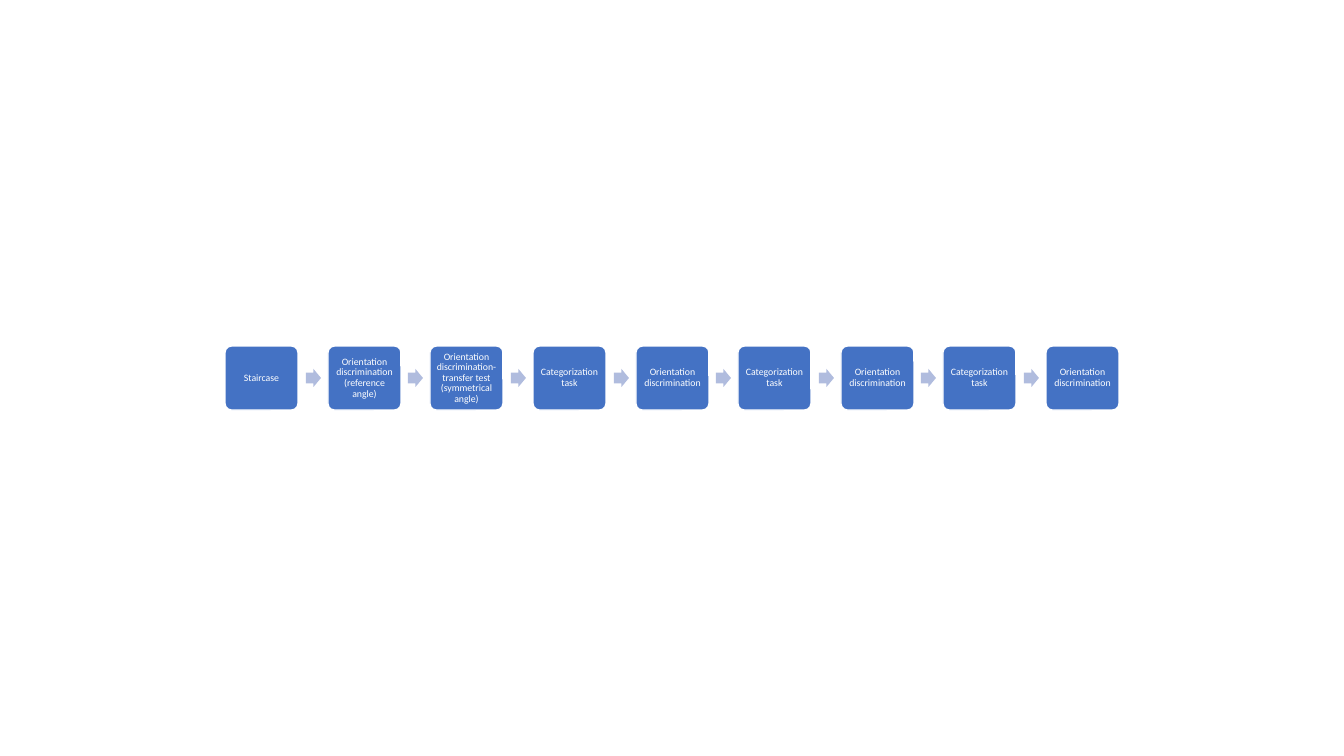
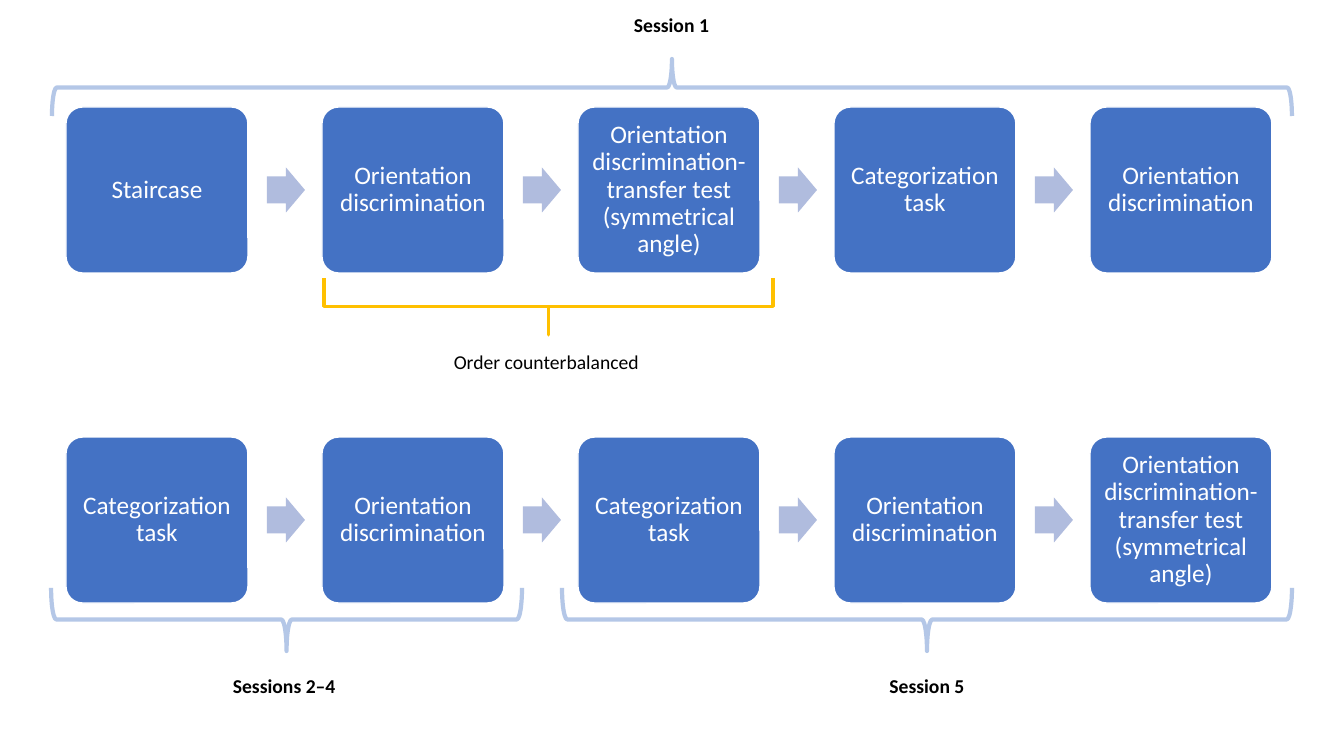
"""Build two slides showing the order of tasks in a training experiment."""
from dataclasses import dataclass

from pptx import Presentation
from pptx.dml.color import RGBColor
from pptx.enum.shapes import MSO_SHAPE
from pptx.enum.text import MSO_ANCHOR, MSO_AUTO_SIZE, PP_ALIGN
from pptx.util import Pt

ROUNDED = MSO_SHAPE.ROUNDED_RECTANGLE
ARROW = MSO_SHAPE.RIGHT_ARROW
BRACE = MSO_SHAPE.RIGHT_BRACE
CENTER = PP_ALIGN.CENTER
MIDDLE = MSO_ANCHOR.MIDDLE
GROW = MSO_AUTO_SIZE.SHAPE_TO_FIT_TEXT
PIXEL = 914400 / 100.8


@dataclass(frozen=True)
class Theme:
    font: str = "Calibri"
    box: RGBColor = RGBColor(0x44, 0x72, 0xC4)
    arrow: RGBColor = RGBColor(0xB0, 0xBC, 0xDE)
    session: RGBColor = RGBColor(0xB4, 0xC7, 0xE7)
    order: RGBColor = RGBColor(0xFF, 0xC0, 0x00)
    white: RGBColor = RGBColor(0xFF, 0xFF, 0xFF)
    black: RGBColor = RGBColor(0x00, 0x00, 0x00)
    small_step: int = 7
    large_step: int = 18
    label: int = 14


theme = Theme()


def add_shape(slide, kind, bounds, adjustments, fill=None, line=None, line_width=1):
    shape = slide.shapes.add_shape(kind, *[round(value * PIXEL) for value in bounds])
    shape.shadow.inherit = False
    for index, value in enumerate(adjustments):
        shape.adjustments[index] = value
    if fill is None:
        shape.fill.background()
    else:
        shape.fill.solid()
        shape.fill.fore_color.rgb = fill
    if line is None:
        shape.line.fill.background()
    else:
        shape.line.color.rgb = line
        shape.line.width = Pt(line_width)
    return shape


def write_text(shape, text, size, color, bold=False):
    text_frame = shape.text_frame
    text_frame.word_wrap = True
    text_frame.text = text
    paragraph = text_frame.paragraphs[0]
    paragraph.alignment = CENTER
    font = paragraph.runs[0].font
    font.name = theme.font
    font.size = Pt(size)
    font.color.rgb = color
    font.bold = bold


presentation = Presentation()
presentation.slide_width = round(1344 * PIXEL)
presentation.slide_height = round(756 * PIXEL)
blank = presentation.slide_layouts[6]
overview = presentation.slides.add_slide(blank)
sessions = presentation.slides.add_slide(blank)

staircase = "Staircase"
discrimination = "Orientation discrimination"
reference = "Orientation discrimination (reference angle)"
transfer = "Orientation discrimination- transfer test (symmetrical angle)"
categorization = "Categorization task"

small = dict(first=225, last=1046, box=(73, 64), arrow=(15, 18), gap=8,
             inset=3, size=theme.small_step)
large = dict(first=66, last=1090, box=(182, 166), arrow=(38, 45), gap=19,
             inset=7, size=theme.large_step)

flows = [
    (overview, small, 346, [staircase, reference, transfer]
     + [categorization, discrimination] * 3),
    (sessions, large, 107, [staircase, discrimination, transfer,
                            categorization, discrimination]),
    (sessions, large, 437, [categorization, discrimination] * 2 + [transfer]),
]
for slide, style, top, steps in flows:
    box_width, box_height = style["box"]
    arrow_width, arrow_height = style["arrow"]
    pitch = (style["last"] - style["first"]) / (len(steps) - 1)
    for index, step in enumerate(steps):
        left = round(style["first"] + index * pitch)
        if index:
            arrow_left = round(left - pitch) + box_width + style["gap"]
            arrow_top = top + (box_height - arrow_height) / 2
            add_shape(slide, ARROW, (arrow_left, arrow_top, arrow_width, arrow_height),
                      (0.6, 0.5), fill=theme.arrow)
        box = add_shape(slide, ROUNDED, (left, top, box_width, box_height), (0.1,),
                        fill=theme.box, line=theme.white)
        write_text(box, step, style["size"], theme.white)
        text_frame = box.text_frame
        text_frame.vertical_anchor = MIDDLE
        text_frame.paragraphs[0].line_spacing = 0.9
        inset = round(style["inset"] * PIXEL)
        text_frame.margin_left = text_frame.margin_right = inset
        text_frame.margin_top = text_frame.margin_bottom = inset

braces = [
    (324, 278, 449, 57, 90, (0, 0.5), theme.order, 2.25),
    (52, 59, 1240, 57, 270, (), theme.session, 3),
    (51, 588, 471, 63, 90, (), theme.session, 3),
    (562, 588, 730, 63, 90, (), theme.session, 3),
]
for left, top, width, height, rotation, adjustments, color, line_width in braces:
    shift = (width - height) / 2
    brace = add_shape(sessions, BRACE, (left + shift, top - shift, height, width),
                      adjustments, line=color, line_width=line_width)
    brace.rotation = rotation

labels = [
    ("Order counterbalanced", 437, 345, 219, False),
    ("Session 1", 562, 8, 219, True),
    ("Sessions 2–4 ", 177, 669, 219, True),
    ("Session 5", 757, 669, 340, True),
]
for text, left, top, width, bold in labels:
    bounds = [round(value * PIXEL) for value in (left, top, width, 34)]
    label = sessions.shapes.add_textbox(*bounds)
    write_text(label, text, theme.label, theme.black, bold)
    label.text_frame.auto_size = GROW

presentation.save("out.pptx")
